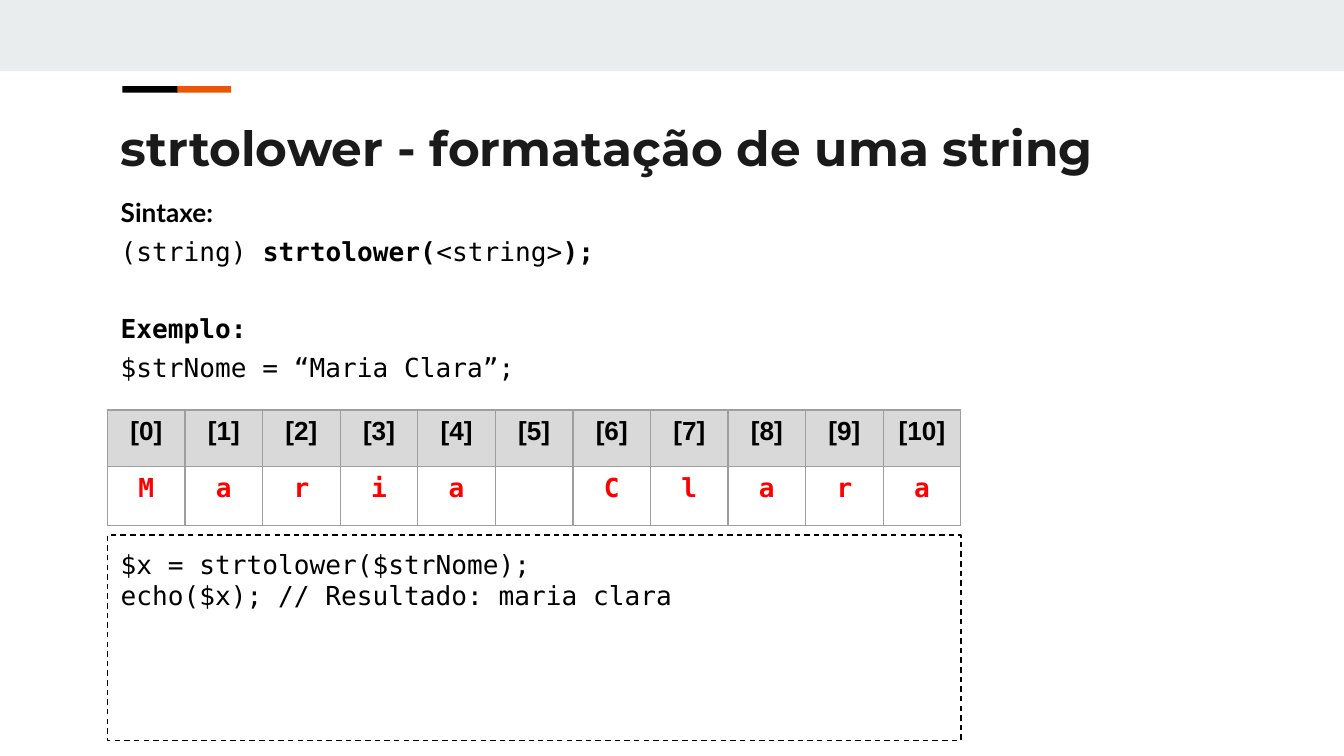
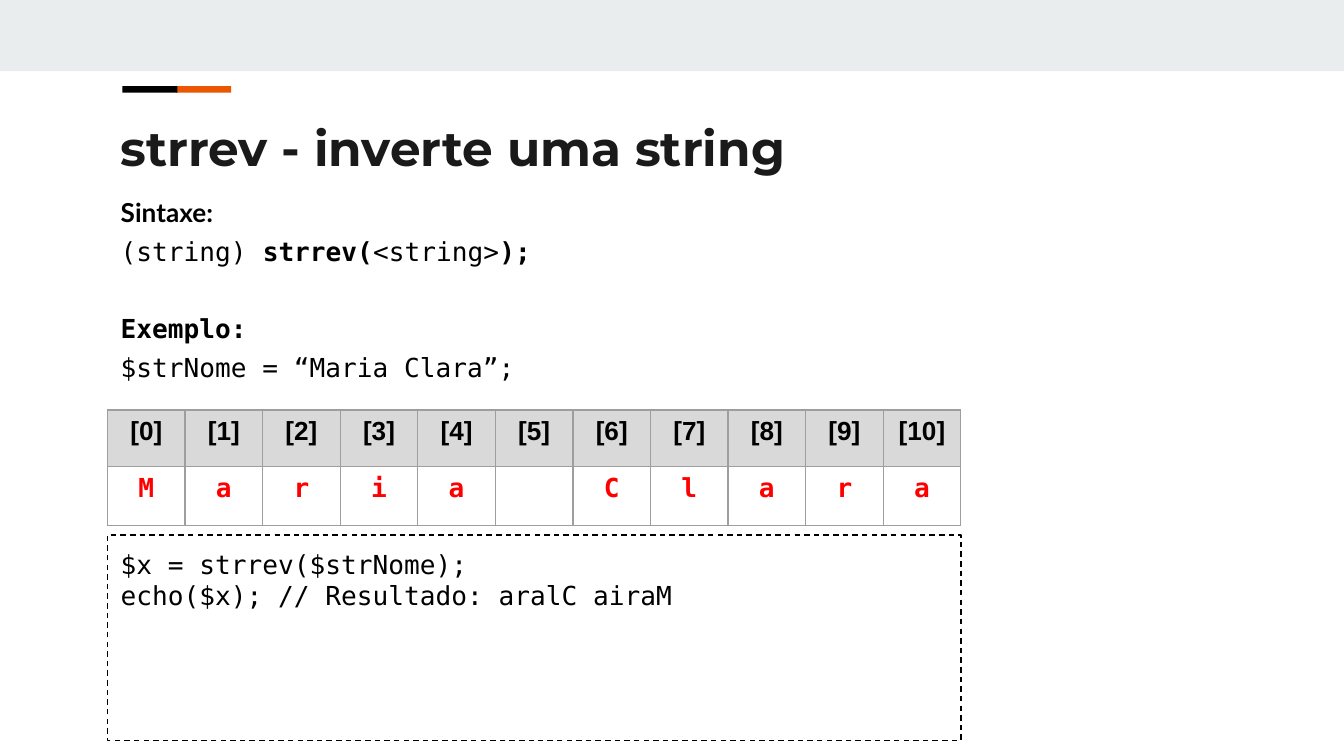
from lxml import etree
from pptx import Presentation
from pptx.dml.color import RGBColor
from pptx.enum.dml import MSO_LINE
from pptx.enum.shapes import MSO_SHAPE
from pptx.enum.text import MSO_ANCHOR, PP_ALIGN
from pptx.oxml.ns import qn
from pptx.util import Inches, Pt

COLORS = {
    "band": "E9EDEE", "accent": "EB5600", "black": "000000", "title": "1A1A1A",
    "header": "D9D9D9", "border": "9E9E9E", "letter": "FF0000",
}
TITLE_FONT, LABEL_FONT = "Montserrat", "Lato"
CODE_FONT, INDEX_FONT = "DejaVu Sans Mono", "Arial"
LEFT, TEXT_WIDTH, TABLE_WIDTH = 0.8, 8.41, 6.35
LINE_WIDTH = 0.74


def color(name):
    return RGBColor.from_string(COLORS[name])


class SlideBuilder:
    def __init__(self, deck):
        self.deck = deck
        self.slide = None

    def new_slide(self, title):
        self.slide = self.deck.slides.add_slide(self.deck.slide_layouts[6])
        # Top band and two-colour rule
        self.bar(0, 0, 10, 0.53, "band")
        self.bar(1.31, 0.64, 0.41, 0.05, "accent")
        self.bar(0.91, 0.64, 0.41, 0.05, "black")
        # Title
        self.text(0.78, 0.59, [[(title, TITLE_FONT, True)]], 26, "title")

    def shape(self, left, top, width, height):
        shape = self.slide.shapes.add_shape(
            MSO_SHAPE.RECTANGLE, Inches(left), Inches(top), Inches(width), Inches(height))
        shape.shadow.inherit = False
        return shape

    def bar(self, left, top, width, height, fill):
        bar = self.shape(left, top, width, height)
        bar.fill.solid()
        bar.fill.fore_color.rgb = color(fill)
        bar.line.fill.background()

    def style(self, span, font, bold, size=14, ink="black"):
        span.font.name = font
        span.font.size = Pt(size)
        span.font.bold = bold
        span.font.color.rgb = color(ink)

    def fill_frame(self, frame, lines, size=14, ink="black"):
        """Write lines of (text, font, bold) spans into a text frame."""
        frame.word_wrap = True
        frame.vertical_anchor = MSO_ANCHOR.TOP
        frame.margin_left = frame.margin_right = Inches(0.1)
        frame.margin_top = frame.margin_bottom = Inches(0.1)
        for number, line in enumerate(lines):
            para = frame.add_paragraph() if number else frame.paragraphs[0]
            para.alignment = PP_ALIGN.LEFT
            for text, font, bold in line:
                span = para.add_run()
                span.text = text
                self.style(span, font, bold, size, ink)
        return frame.paragraphs

    def text(self, top, height, lines, size=14, ink="black"):
        box = self.slide.shapes.add_textbox(
            Inches(LEFT), Inches(top), Inches(TEXT_WIDTH), Inches(height))
        return self.fill_frame(box.text_frame, lines, size, ink)

    def syntax(self, function, assignment):
        paras = self.text(1.36, 1.53, [
            [("Sintaxe:", LABEL_FONT, True)],
            [("(string) ", CODE_FONT, False), (function + "(", CODE_FONT, True),
             ("<string>", CODE_FONT, False), (");", CODE_FONT, True)],
            [("Exemplo:", CODE_FONT, True)],
            [(assignment, CODE_FONT, False)],
        ])
        # The example starts one line further down
        for para, space in zip(paras[1:], (4, 24.5, 4)):
            para.space_before = Pt(space)
        paras[-1].space_after = Pt(4)

    def border(self, cell):
        properties = cell._tc.get_or_add_tcPr()
        for position, side in enumerate(("a:lnL", "a:lnR", "a:lnT", "a:lnB")):
            line = etree.Element(qn(side), w=str(int(Pt(LINE_WIDTH))))
            fill = etree.SubElement(line, qn("a:solidFill"))
            etree.SubElement(fill, qn("a:srgbClr"), val=COLORS["border"])
            properties.insert(position, line)

    def letter_table(self, word):
        """Show each letter of a word below its index."""
        table = self.slide.shapes.add_table(
            2, len(word), Inches(LEFT), Inches(3.05),
            Inches(TABLE_WIDTH), Inches(0.86)).table
        table.first_row = table.horz_banding = False
        table.rows[0].height, table.rows[1].height = Inches(0.42), Inches(0.44)
        for index, letter in enumerate(word):
            table.columns[index].width = Inches(TABLE_WIDTH / len(word))
            head, body = table.cell(0, index), table.cell(1, index)
            head.fill.solid()
            head.fill.fore_color.rgb = color("header")
            body.fill.background()
            for cell, text, font, ink in (
                    (head, f"[{index}]", INDEX_FONT, "black"),
                    (body, letter.strip(), CODE_FONT, "letter")):
                cell.text_frame.text = text
                para = cell.text_frame.paragraphs[0]
                para.alignment = PP_ALIGN.CENTER
                for span in para.runs:
                    self.style(span, font, True, ink=ink)
                self.border(cell)

    def code_box(self, lines):
        box = self.shape(LEFT, 3.98, TABLE_WIDTH, 1.53)
        box.fill.background()
        box.line.color.rgb = color("black")
        box.line.width = Pt(LINE_WIDTH)
        box.line.dash_style = MSO_LINE.DASH
        self.fill_frame(box.text_frame, [[(line, CODE_FONT, False)] for line in lines])


# Widescreen deck, 16:9
deck = Presentation()
deck.slide_width = Inches(10)
deck.slide_height = Inches(10 * 9 / 16)
builder = SlideBuilder(deck)

# One slide per string function
NAME = "Maria Clara"
for function, purpose, result in (
        ("strtolower", "formatação de uma string", NAME.lower()),
        ("strrev", "inverte uma string", NAME[::-1])):
    builder.new_slide(f"{function} - {purpose}")
    builder.syntax(function, f"$strNome = “{NAME}”;")
    builder.letter_table(NAME)
    builder.code_box([f"$x = {function}($strNome);",
                      f"echo($x); // Resultado: {result}"])

deck.save("out.pptx")
